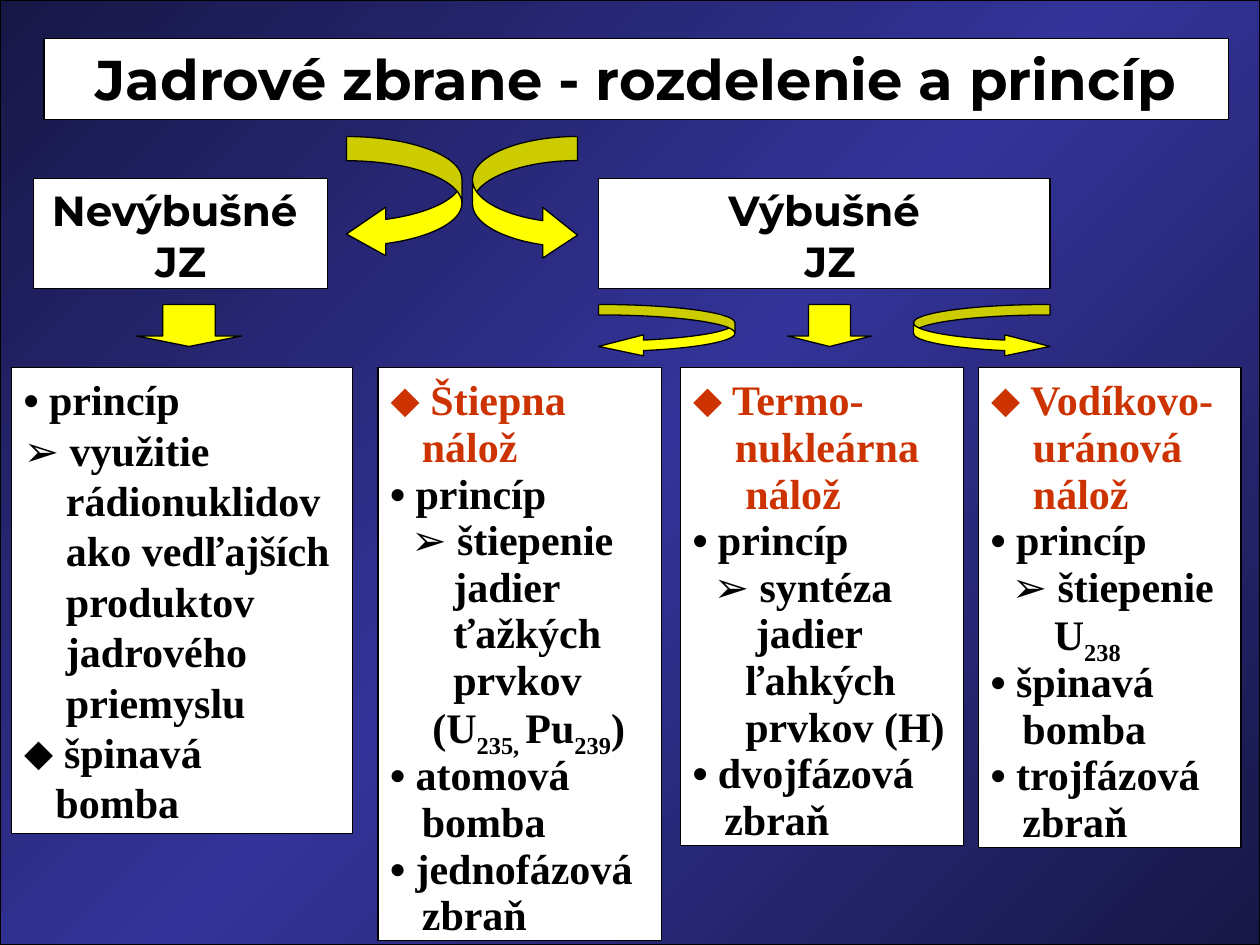
from pptx import Presentation
from pptx.dml.color import RGBColor
from pptx.enum.shapes import MSO_SHAPE
from pptx.enum.text import MSO_ANCHOR, PP_ALIGN
from pptx.oxml import parse_xml
from pptx.oxml.ns import nsdecls
from pptx.util import Inches, Pt

RECT, DOWN = MSO_SHAPE.RECTANGLE, MSO_SHAPE.DOWN_ARROW
CURVED_LEFT, CURVED_RIGHT = MSO_SHAPE.CURVED_LEFT_ARROW, MSO_SHAPE.CURVED_RIGHT_ARROW
TOP, LEFT, CENTER = MSO_ANCHOR.TOP, PP_ALIGN.LEFT, PP_ALIGN.CENTER

THEME = {
    "edge": "171746", "middle": "333399", "panel": "FFFFFF", "line": "000000",
    "text": "000000", "accent": "CC3300", "arrow": "FFFF00",
    "heading_font": "Montserrat", "body_font": "Times New Roman", "marker_font": "Arial",
    "title_size": 32, "body_size": 24, "line_width": 0.75,
}
DOT, POINTER, DIAMOND = "•", "➢", "⬥"

# The slide is a grid of 120 columns by 90 rows
COLUMNS, ROWS = 120, 90
WIDTH, HEIGHT = Inches(10), Inches(7.5)
INDENT = Pt(6)

# Content: frames are (column, row, columns, rows)
TITLE = ((4.2, 3.7, 112.8, 7.7), "Jadrové zbrane - rozdelenie a princíp")
CATEGORIES = [
    ((3.2, 17, 28, 10.5), ["Nevýbušné ", "JZ"]),
    ((57, 17, 43, 10.5), ["Výbušné", " JZ"]),
]

# Each line is (indent steps, marker, text); "|" switches subscript on and off.
# A panel is (frame, line spacing, number of accent lines, lines).
PANELS = [
    ((1.1, 35, 32.5, 44.4), None, 0, [
        (0, DOT, "princíp"), (0, POINTER, "využitie"), (4, "", "rádionuklidov"),
        (4, "", "ako vedľajších"), (4, "", "produktov"), (4, "", "jadrového"),
        (4, "", "priemyslu"), (0, DIAMOND, "špinavá"), (3, "", "bomba")]),
    ((36, 35, 27, 54.6), 0.3, 2, [
        (0, DIAMOND, "Štiepna"), (3, "", "nálož"), (0, DOT, "princíp"),
        (2, POINTER, "štiepenie"), (6, "", "jadier"), (6, "", "ťažkých"),
        (6, "", "prvkov"), (4, "", "(U|235, |Pu|239|)"), (0, DOT, "atomová"),
        (3, "", "bomba"), (0, DOT, "jednofázová"), (3, "", "zbraň")]),
    ((64.8, 35, 27, 45.5), 0.3, 3, [
        (0, DIAMOND, "Termo-"), (4, "", "nukleárna"), (5, "", "nálož"),
        (0, DOT, "princíp"), (2, POINTER, "syntéza"), (6, "", "jadier"),
        (5, "", "ľahkých"), (5, "", "prvkov (H)"), (0, DOT, "dvojfázová"),
        (3, "", "zbraň")]),
    ((93.2, 35, 25, 45.7), 0.3, 3, [
        (0, DIAMOND, "Vodíkovo-"), (4, "", "uránová"), (4, "", "nálož"),
        (0, DOT, "princíp"), (2, POINTER, "štiepenie"), (6, "", "U|238"),
        (0, DOT, "špinavá"), (3, "", "bomba"), (0, DOT, "trojfázová"),
        (3, "", "zbraň")]),
]

# Arrows: preset, frame, adjustments
ARROWS = [
    (CURVED_LEFT, (33, 13, 11, 11.6), (0.21, 0.42, 0.34)),
    (CURVED_RIGHT, (45, 13, 10, 11.8), (0.23, 0.48, 0.33)),
    (DOWN, (13, 29, 10, 4), (0.5, 0.25)),
    (CURVED_LEFT, (57, 29, 13, 5), (0.2, 0.4, 0.86)),
    (CURVED_RIGHT, (87, 29, 13, 5), (0.2, 0.4, 0.86)),
    (DOWN, (75, 29, 8, 4), (0.5, 0.25)),
]


def color(role):
    return RGBColor.from_string(THEME[role])


def add_block(preset, frame, fill_role=None):
    left, top, width, height = frame
    block = slide.shapes.add_shape(
        preset, round(left * WIDTH / COLUMNS), round(top * HEIGHT / ROWS),
        round(width * WIDTH / COLUMNS), round(height * HEIGHT / ROWS))
    block.shadow.inherit = False
    if fill_role:
        block.fill.solid()
        block.fill.fore_color.rgb = color(fill_role)
    block.line.color.rgb = color("line")
    block.line.width = Pt(THEME["line_width"])
    return block


def add_panel(frame):
    text = add_block(RECT, frame, "panel").text_frame
    text.word_wrap = True
    text.vertical_anchor = TOP
    return text


def add_line(text, number, align, spacing, font_role, size_role, color_role):
    paragraph = text.add_paragraph() if number else text.paragraphs[0]
    paragraph.alignment = align
    if number and spacing:
        paragraph.line_spacing = spacing
        paragraph.space_before, paragraph.space_after = Pt(15), Pt(3)
    paragraph.font.name = THEME[font_role]
    paragraph.font.size = Pt(THEME[size_role])
    paragraph.font.bold = True
    paragraph.font.color.rgb = color(color_role)
    return paragraph


def add_heading(frame, lines, size_role):
    text = add_panel(frame)
    for number, words in enumerate(lines):
        add_line(text, number, CENTER, 0.4, "heading_font", size_role,
                 "text").add_run().text = words


def add_list(frame, spacing, accent_lines, lines):
    text = add_panel(frame)
    for number, (steps, marker, words) in enumerate(lines):
        role = "accent" if number < accent_lines else "text"
        paragraph = add_line(text, number, LEFT, spacing, "body_font", "body_size", role)
        properties = paragraph._p.get_or_add_pPr()
        properties.set("marL", str(steps * INDENT))
        properties.set("indent", "0")
        if marker:
            sign = paragraph.add_run()
            sign.text = marker
            sign.font.name = THEME["marker_font"]
            words = " " + words
        for part, piece in enumerate(words.split("|")):
            run = paragraph.add_run()
            run.text = piece
            if part % 2:
                run.font._element.set("baseline", "-25000")


presentation = Presentation()
presentation.slide_width, presentation.slide_height = WIDTH, HEIGHT
slide = presentation.slides.add_slide(presentation.slide_layouts[6])

# Diagonal gradient backdrop
backdrop = add_block(RECT, (0, 0, COLUMNS, ROWS))
stops = "".join(
    f'<a:gs pos="{position}"><a:srgbClr val="{THEME[role]}"/></a:gs>'
    for position, role in ((0, "edge"), (50000, "middle"), (100000, "edge")))
backdrop._element.spPr.insert(2, parse_xml(
    f'<a:gradFill {nsdecls("a")} rotWithShape="1"><a:gsLst>{stops}</a:gsLst>'
    '<a:lin ang="13500000" scaled="0"/></a:gradFill>'))

# Title and categories
title_frame, title = TITLE
add_heading(title_frame, [title], "title_size")
for category_frame, names in CATEGORIES:
    add_heading(category_frame, names, "body_size")

# Weapon types
for panel in PANELS:
    add_list(*panel)

# Arrows between the levels
for preset, arrow_frame, adjustments in ARROWS:
    arrow = add_block(preset, arrow_frame, "arrow")
    for index, value in enumerate(adjustments):
        arrow.adjustments[index] = value

presentation.save("out.pptx")
